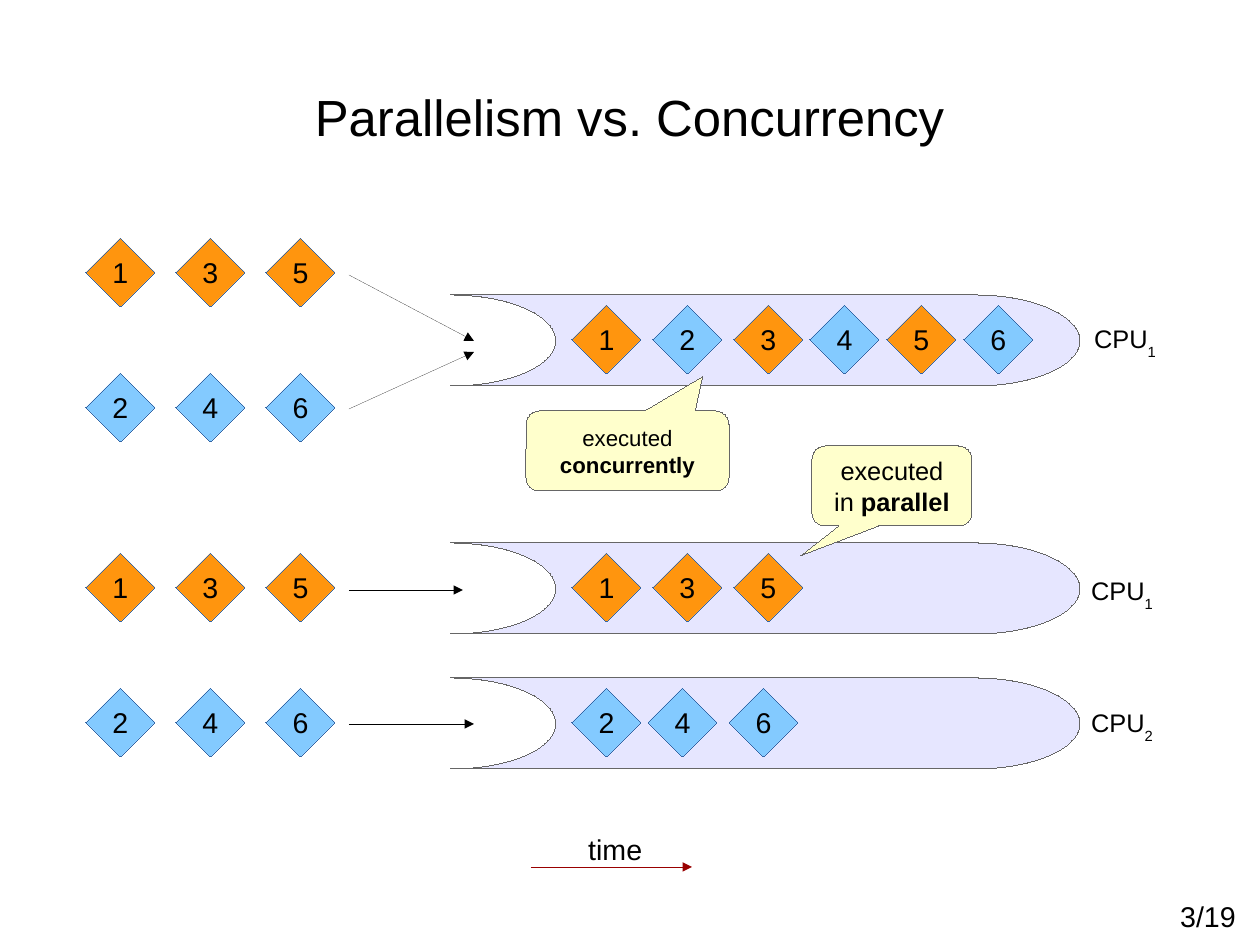
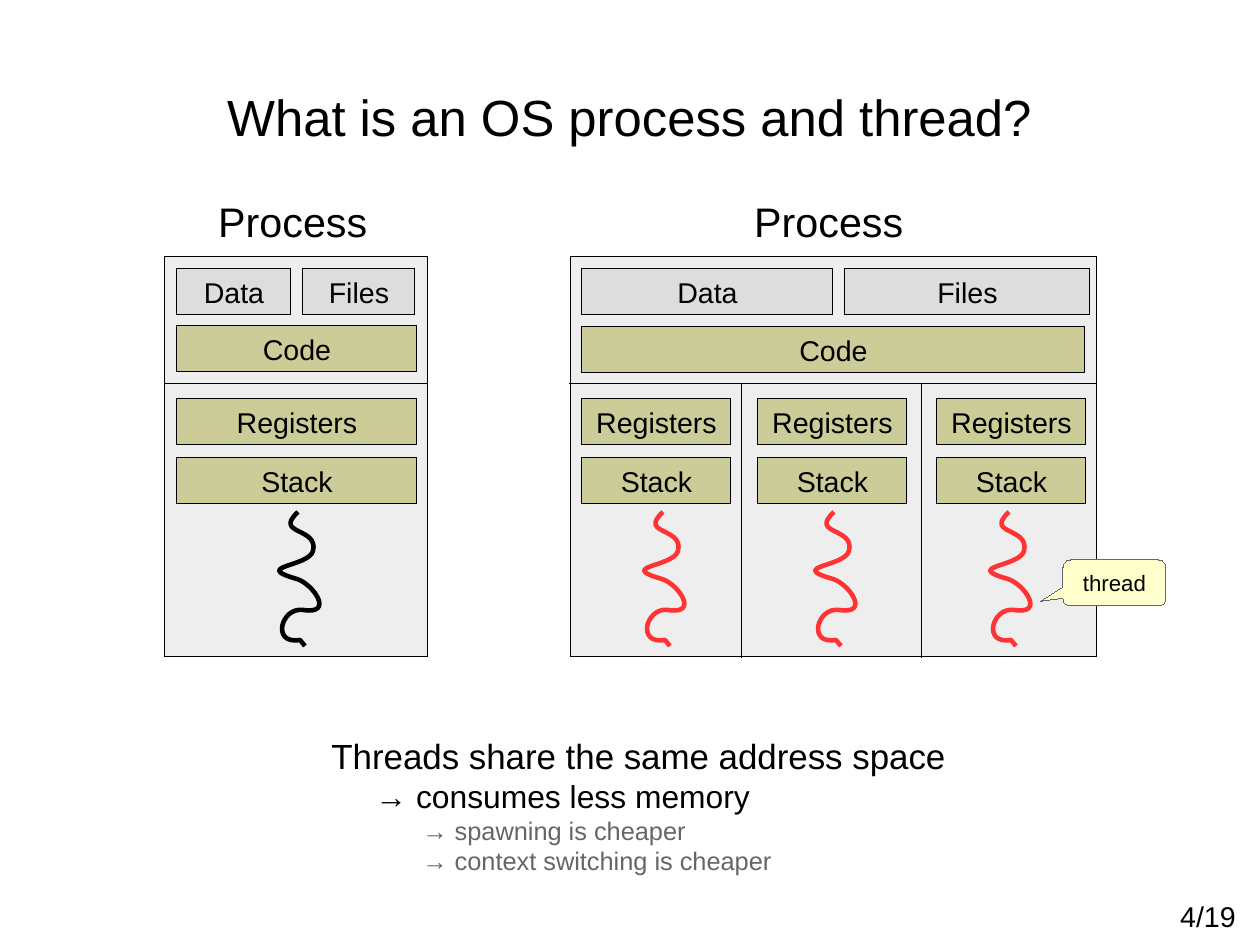
"""Build two slides: parallelism vs. concurrency, and processes vs. threads."""
from dataclasses import dataclass

from lxml import etree
from pptx import Presentation
from pptx import util as u
from pptx.dml.color import RGBColor
from pptx.enum import shapes, text
from pptx.oxml.ns import qn

EMU_PER_PX = 8000
WIDTH, HEIGHT = 1260, 945
PAGES = 19
FONT = "Arial"
BLACK, GRAY = "000000", "666666"
ORANGE, BLUE, DIAMOND_EDGE = "FF950E", "83CAFF", "3465A4"
PIPE, NOTE, TIME = "E6E6FF", "FFFFCC", "990000"
FRAME, SHARED, OWN, RED = "EEEEEE", "DDDDDD", "CCCC99", "FF3333"
LEFT, CENTER, RIGHT = text.PP_ALIGN.LEFT, text.PP_ALIGN.CENTER, text.PP_ALIGN.RIGHT
SHAPE = shapes.MSO_SHAPE

DIAMOND = 69
QUEUE_LEFT, QUEUE_STEP = 86, 90
PIPE_LEFT, PIPE_WIDTH, PIPE_HEIGHT = 451, 629, 91
BOX_HEIGHT = 46
FRAME_TOP, FRAME_HEIGHT, DIVIDER_Y = 257, 400, 384
REGISTERS_Y, STACK_Y, SQUIGGLE_Y = 399, 458, 512
SQUIGGLE_WIDTH, SQUIGGLE_HEIGHT = 40, 134
SQUIGGLE_PATH = (
    ("moveTo", ((18, 0),)),
    ("cubicBezTo", ((-7, 23), (39, 15), (33, 39))),
    ("cubicBezTo", ((29, 55), (-29, 54), (17, 67))),
    ("cubicBezTo", ((33, 72), (55, 103), (23, 98))),
    ("cubicBezTo", ((1, 95), (-9, 133), (20, 128))),
    ("lnTo", ((25, 134),)),
)


@dataclass(frozen=True)
class Run:
    """A piece of text, plain, bold or lowered."""
    words: str
    bold: bool = False
    lowered: bool = False


@dataclass(frozen=True)
class Box:
    """A rectangle in px."""
    left: int
    top: int
    width: int
    height: int

    def emu(self) -> tuple[int, ...]:
        """Return left, top, width and height in EMU."""
        return tuple(px(n) for n in (self.left, self.top, self.width, self.height))


@dataclass(frozen=True)
class Queue:
    """A row of waiting tasks and the arrow that leads into a pipe."""
    top: int
    color: str
    numbers: tuple[int, ...]
    arrow: tuple[int, int, int, int]


@dataclass(frozen=True)
class Cpu:
    """A pipe with its label and the tasks it runs."""
    top: int
    number: int
    label: tuple[int, int]
    tasks: tuple[tuple[int, int], ...]


@dataclass(frozen=True)
class Thread:
    """A column of a process, with the left edge of its squiggle."""
    left: int
    width: int
    squiggle: int


@dataclass(frozen=True)
class Process:
    """A process frame with its shared boxes and threads."""
    left: int
    width: int
    label_left: int
    shared: tuple[tuple[str, int, int], ...]
    code: Box
    threads: tuple[Thread, ...]
    dividers: tuple[int, ...]
    color: str


@dataclass(frozen=True)
class Point:
    """A line of the closing list."""
    words: str
    indent: int
    size: int
    color: str


QUEUES = (
    Queue(238, ORANGE, (1, 3, 5), (349, 275, 474, 341)),
    Queue(373, BLUE, (2, 4, 6), (349, 409, 474, 352)),
    Queue(553, ORANGE, (1, 3, 5), (349, 590, 463, 590)),
    Queue(688, BLUE, (2, 4, 6), (349, 724, 474, 724)),
)
CPUS = (
    Cpu(295, 1, (1083, 318),
        ((1, 572), (2, 653), (3, 734), (4, 810), (5, 887), (6, 964))),
    Cpu(543, 1, (1080, 570), ((1, 572), (3, 653), (5, 734))),
    Cpu(678, 2, (1080, 702), ((2, 572), (4, 648), (6, 729))),
)
PROCESSES = (
    Process(165, 263, 207, (("Data", 177, 114), ("Files", 303, 112)),
            Box(177, 326, 240, BOX_HEIGHT), (Thread(177, 240, 280),), (), BLACK),
    Process(570, 527, 743, (("Data", 582, 251), ("Files", 845, 245)),
            Box(582, 327, 503, BOX_HEIGHT),
            (Thread(582, 149, 645), Thread(758, 149, 816), Thread(937, 149, 991)),
            (742, 922), RED),
)
POINTS = (
    Point("Threads share the same address space", 0, 22, BLACK),
    Point("→ consumes less memory", 44, 20, BLACK),
    Point("→ spawning is cheaper", 91, 16, GRAY),
    Point("→ context switching is cheaper", 91, 16, GRAY),
)


def px(length: int) -> int:
    """Turn px into EMU."""
    return length * EMU_PER_PX


def rgb(color: str) -> RGBColor:
    """Turn a hex string into a colour."""
    return RGBColor.from_string(color)


def style_font(paragraph, size: int, color: str = BLACK) -> None:
    """Set the font of a whole paragraph."""
    paragraph.font.name = FONT
    paragraph.font.size = u.Pt(size)
    paragraph.font.color.rgb = rgb(color)


def set_hairline(shape, color: str):
    """Give a shape the thinnest line and return the line element."""
    shape.line.color.rgb = rgb(color)
    element = shape.line._get_or_add_ln()
    element.set("w", "0")
    return element


def write(shape, lines, size: int, align=CENTER, wrap: bool = False) -> None:
    """Write lines of runs into the one paragraph of a shape."""
    frame = shape.text_frame
    frame.word_wrap = wrap
    paragraph = frame.paragraphs[0]
    paragraph.alignment = align
    style_font(paragraph, size)
    for index, runs in enumerate(lines):
        if index:
            paragraph.add_line_break()
        for item in runs:
            run = paragraph.add_run()
            run.text = item.words
            if item.bold:
                run.font.bold = True
            if item.lowered:
                run._r.get_or_add_rPr().set("baseline", "-33000")


def add_label(slide, box: Box, runs, size: int, align=LEFT) -> None:
    """Add a line of free text."""
    label = slide.shapes.add_textbox(*box.emu())
    write(label, [runs], size, align, wrap=True)


def add_block(slide, kind, box: Box, fill: str, line: str, lines=(), size: int = 18):
    """Add a filled preset shape with a hairline and centred text."""
    shape = slide.shapes.add_shape(kind, *box.emu())
    shape.shadow.inherit = False
    shape.fill.solid()
    shape.fill.fore_color.rgb = rgb(fill)
    set_hairline(shape, line)
    if lines:
        shape.text_frame.vertical_anchor = text.MSO_ANCHOR.MIDDLE
        write(shape, lines, size)
    return shape


def add_line(slide, ends: tuple[int, int, int, int], color: str = BLACK,
             arrow: bool = False) -> None:
    """Add a hairline, with an arrowhead at its end if asked."""
    line = slide.shapes.add_connector(shapes.MSO_CONNECTOR.STRAIGHT, *map(px, ends))
    element = set_hairline(line, color)
    if arrow:
        etree.SubElement(element, qn("a:tailEnd"), type="triangle")
    etree.SubElement(line._element.spPr, qn("a:effectLst"))


def add_callout(slide, box: Box, tip: tuple[float, float], lines, size: int) -> None:
    """Add a rounded note whose tip is given relative to its centre."""
    note = add_block(slide, SHAPE.ROUNDED_RECTANGULAR_CALLOUT, box, NOTE, GRAY, lines, size)
    for index, value in enumerate((*tip, 0.167)):
        note.adjustments[index] = value


def add_diamond(slide, left: int, top: int, number: int, color: str) -> None:
    """Add one numbered task."""
    add_block(slide, SHAPE.DIAMOND, Box(left, top, DIAMOND, DIAMOND), color,
              DIAMOND_EDGE, [[Run(str(number))]])


def add_queue(slide, queue: Queue) -> None:
    """Draw the waiting tasks and their arrow."""
    for index, number in enumerate(queue.numbers):
        add_diamond(slide, QUEUE_LEFT + index * QUEUE_STEP, queue.top, number, queue.color)
    add_line(slide, queue.arrow, arrow=True)


def add_cpu(slide, cpu: Cpu) -> None:
    """Draw a pipe, its label and the tasks in it."""
    pipe = add_block(slide, SHAPE.FLOWCHART_STORED_DATA,
                     Box(PIPE_LEFT, cpu.top, PIPE_WIDTH, PIPE_HEIGHT), PIPE, GRAY)
    pipe._element.spPr.find(qn("a:xfrm")).set("flipH", "1")
    add_label(slide, Box(*cpu.label, 91, 53),
              [Run("CPU"), Run(str(cpu.number), lowered=True)], 16)
    for number, left in cpu.tasks:
        add_diamond(slide, left, cpu.top + 10, number, ORANGE if number % 2 else BLUE)


def add_squiggle(slide, left: int, color: str) -> None:
    """Draw the winding line of a thread as cubic curves."""
    builder = slide.shapes.build_freeform(px(left), px(SQUIGGLE_Y))
    corner = (px(left + SQUIGGLE_WIDTH), px(SQUIGGLE_Y + SQUIGGLE_HEIGHT))
    builder.add_line_segments([corner], close=False)
    squiggle = builder.convert_to_shape()
    outline = next(squiggle._element.iter(qn("a:path")))
    for child in list(outline):
        outline.remove(child)
    for command, points in SQUIGGLE_PATH:
        segment = etree.SubElement(outline, qn(f"a:{command}"))
        for x, y in points:
            etree.SubElement(segment, qn("a:pt"), x=str(px(x)), y=str(px(y)))
    squiggle.shadow.inherit = False
    squiggle.fill.background()
    squiggle.line.color.rgb = rgb(color)
    squiggle.line.width = u.Pt(2.89)


def add_process(slide, process: Process) -> None:
    """Draw a process with its shared boxes and threads."""
    def part(name: str, box: Box, fill: str) -> None:
        """Add one named box."""
        add_block(slide, SHAPE.RECTANGLE, box, fill, BLACK, [[Run(name)]])

    right, bottom = process.left + process.width, FRAME_TOP + FRAME_HEIGHT
    add_label(slide, Box(process.label_left, 191, 194, 63), [Run("Process")], 26)
    add_block(slide, SHAPE.RECTANGLE,
              Box(process.left, FRAME_TOP, process.width, FRAME_HEIGHT), FRAME, BLACK)
    for name, left, width in process.shared:
        part(name, Box(left, 269, width, BOX_HEIGHT), SHARED)
    part("Code", process.code, OWN)
    add_line(slide, (process.left, DIVIDER_Y, right, DIVIDER_Y))
    for x in process.dividers:
        add_line(slide, (x, DIVIDER_Y, x, bottom))
    for thread in process.threads:
        for name, top in (("Registers", REGISTERS_Y), ("Stack", STACK_Y)):
            part(name, Box(thread.left, top, thread.width, BOX_HEIGHT), OWN)
        add_squiggle(slide, thread.squiggle, process.color)


def place(shape, box: Box) -> None:
    """Move a placeholder and keep its text at full size."""
    shape.left, shape.top, shape.width, shape.height = box.emu()
    shape.text_frame.auto_size = text.MSO_AUTO_SIZE.NONE


def add_slide(presentation, layout: int, title: str, page: int):
    """Start a slide with its title and page number."""
    slide = presentation.slides.add_slide(presentation.slide_layouts[layout])
    heading = slide.shapes.title
    place(heading, Box(63, 37, 1134, 158))
    frame = heading.text_frame
    frame.margin_left = frame.margin_right = frame.margin_top = frame.margin_bottom = 0
    frame.vertical_anchor = text.MSO_ANCHOR.MIDDLE
    write(heading, [[Run(title)]], 32, wrap=True)
    add_label(slide, Box(903, 893, 344, 47), [Run(f"{page}/{PAGES}")], 18, RIGHT)
    return slide


def add_points(slide) -> None:
    """Fill the body with the indented closing list."""
    body = slide.placeholders[1]
    place(body, Box(320, 729, 652, 158))
    frame = body.text_frame
    for index, point in enumerate(POINTS):
        paragraph = frame.add_paragraph() if index else frame.paragraphs[0]
        paragraph.text = point.words
        properties = paragraph._p.get_or_add_pPr()
        properties.set("marL", str(px(point.indent)))
        properties.set("indent", "0")
        etree.SubElement(properties, qn("a:buNone"))
        paragraph.space_before = u.Pt(0)
        style_font(paragraph, point.size, point.color)


def main() -> None:
    """Build and save the presentation."""
    presentation = Presentation()
    presentation.slide_width, presentation.slide_height = px(WIDTH), px(HEIGHT)
    slide = add_slide(presentation, 5, "Parallelism vs. Concurrency", 3)
    for queue in QUEUES:
        add_queue(slide, queue)
    for cpu in CPUS:
        add_cpu(slide, cpu)
    add_line(slide, (531, 867, 692, 867), TIME, arrow=True)
    add_label(slide, Box(577, 826, 91, 47), [Run("time")], 18)
    add_callout(slide, Box(526, 411, 203, 80), (0.37, -0.93),
                [[Run("executed")], [Run("concurrently", bold=True)]], 14)
    add_callout(slide, Box(812, 446, 160, 80), (-0.57, 0.87),
                [[Run("executed")], [Run("in "), Run("parallel", bold=True)]], 16)
    slide = add_slide(presentation, 1, "What is an OS process and thread?", 4)
    for process in PROCESSES:
        add_process(slide, process)
    add_callout(slide, Box(1063, 560, 103, BOX_HEIGHT), (-0.72, 0.4), [[Run("thread")]], 14)
    add_points(slide)
    presentation.save("out.pptx")


if __name__ == "__main__":
    main()
